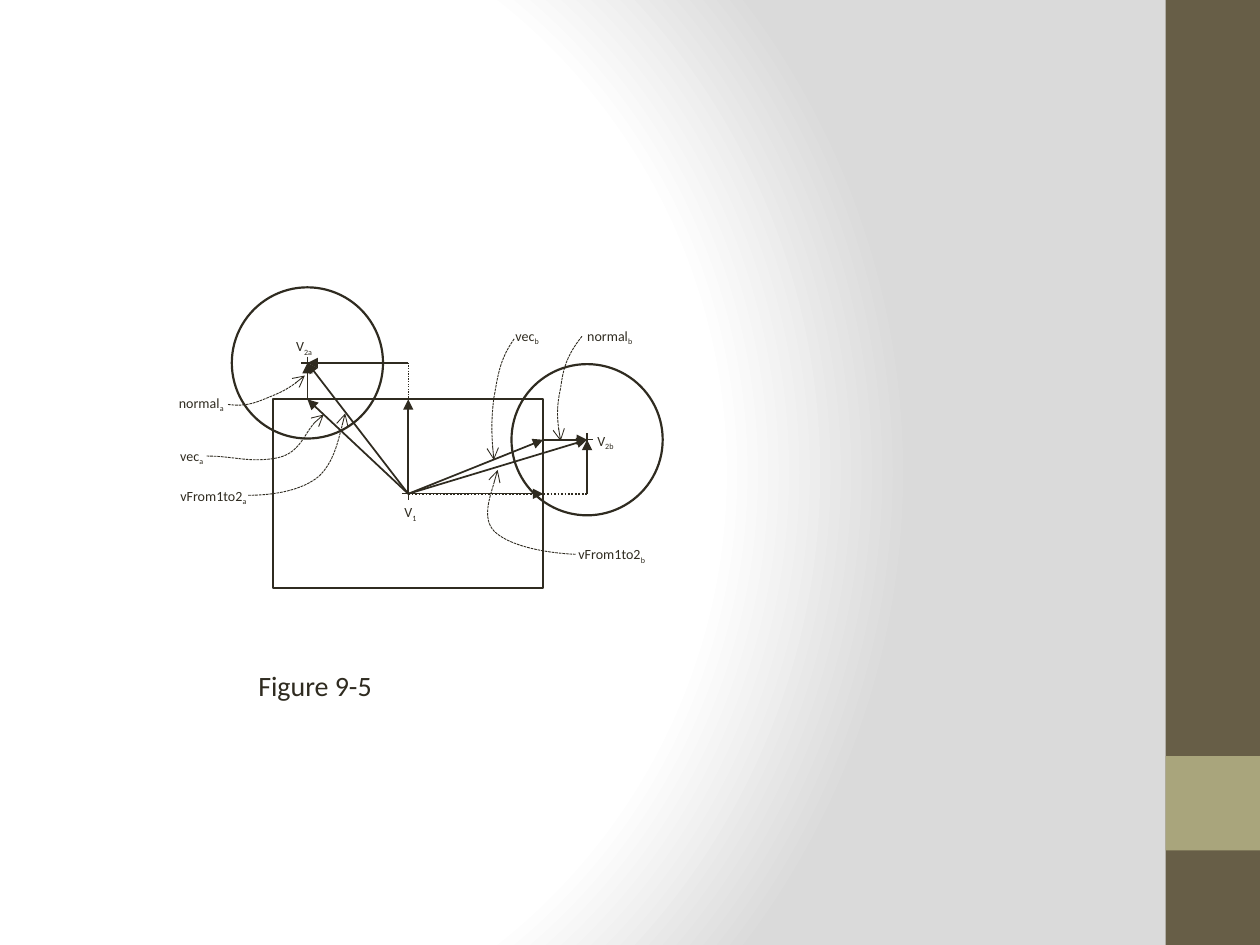
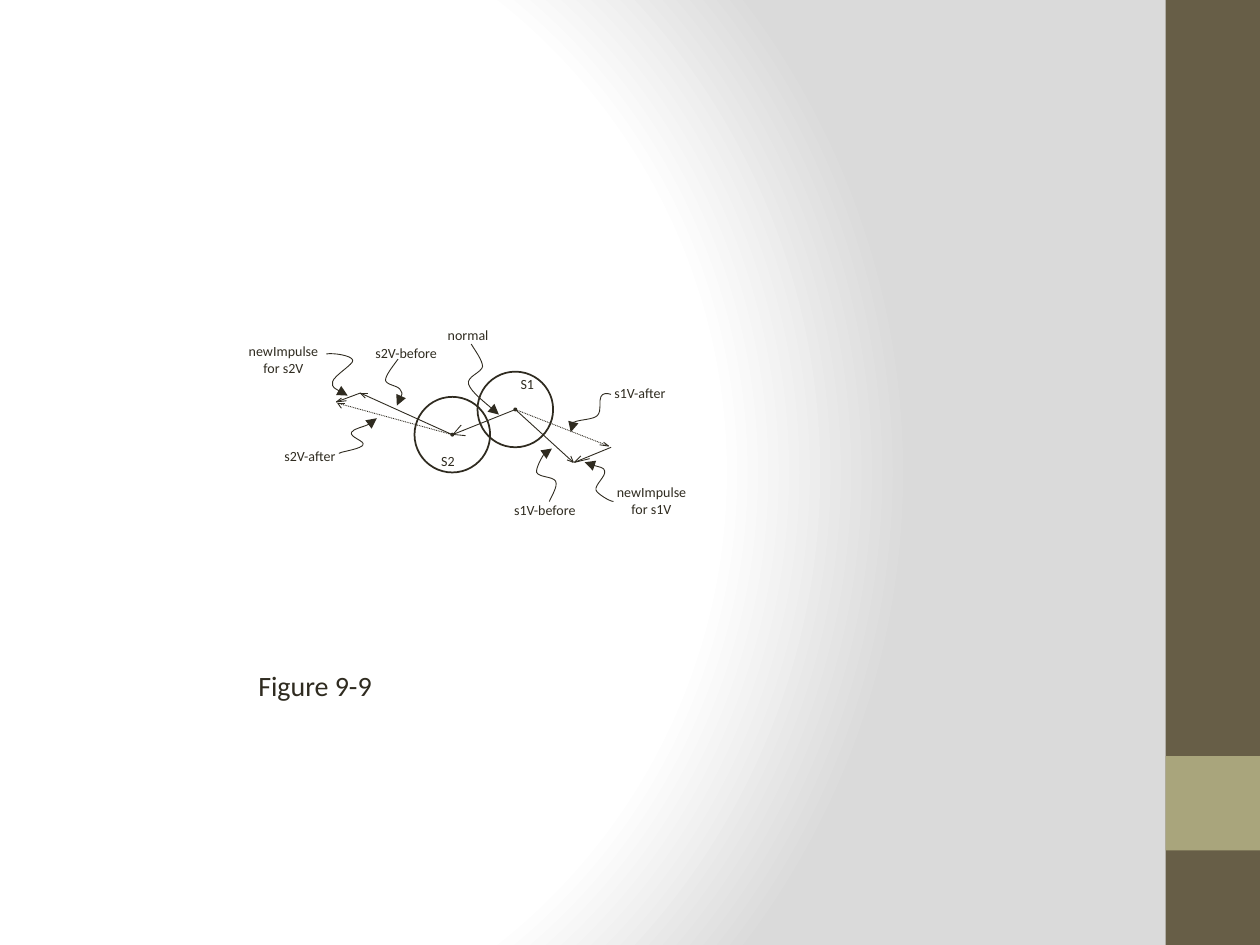
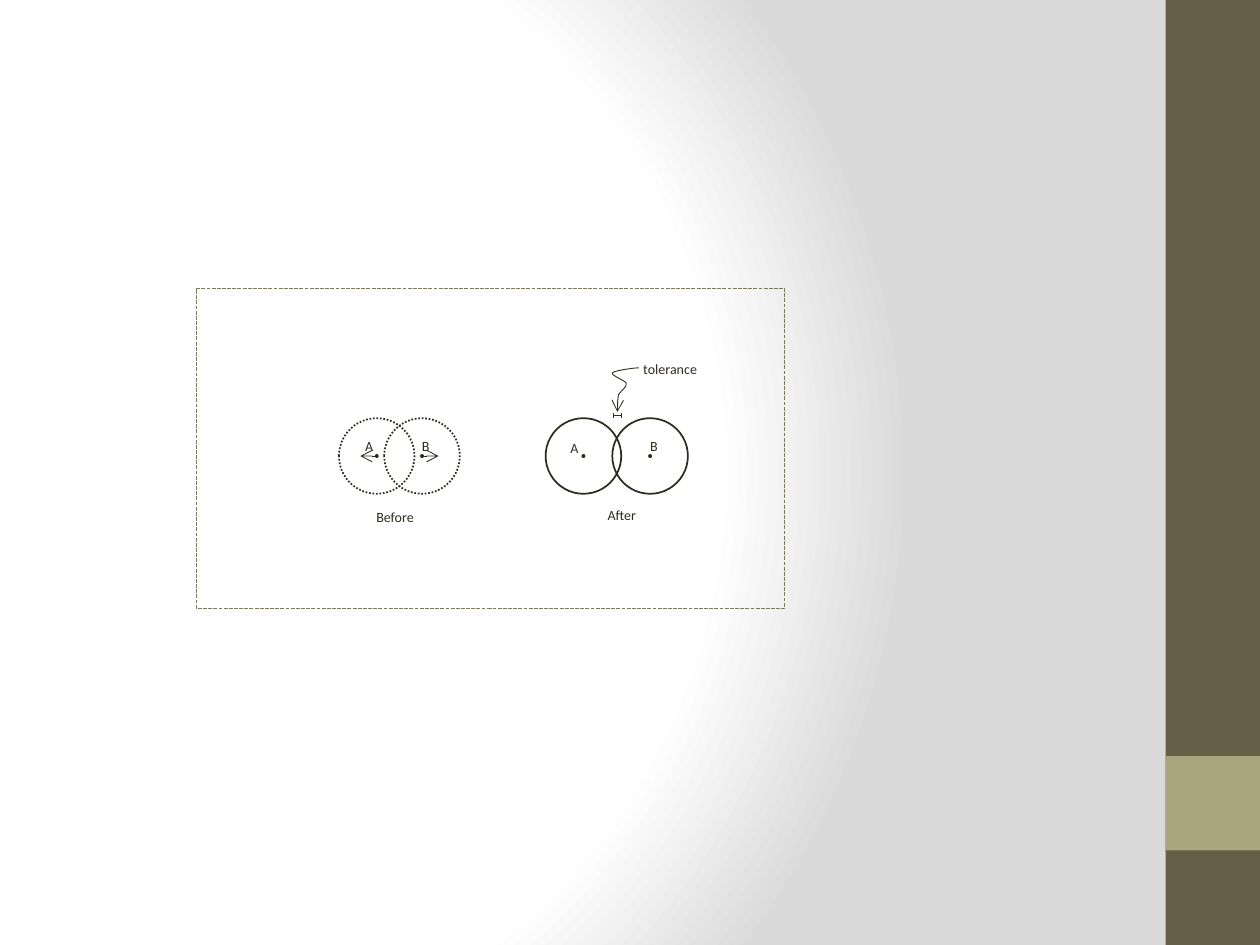
from dataclasses import dataclass

from lxml.etree import SubElement
from pptx import Presentation
from pptx.dml.color import RGBColor
from pptx.enum.dml import MSO_LINE
from pptx.enum.shapes import MSO_CONNECTOR, MSO_SHAPE
from pptx.enum.text import MSO_AUTO_SIZE, PP_ALIGN
from pptx.oxml.ns import qn
from pptx.util import Pt


@dataclass(frozen=True)
class Theme:
    font: str = "Calibri"
    ink: str = "2F2B20"
    band: str = "675E47"
    accent: str = "A9A57C"
    frame: str = "7D7A5C"
    backdrop: tuple = ((0, "FFFFFF"), (75, "FFFFFF"), (100, "DADADA"))
    label_size: float = 8
    caption_size: float = 16
    hairline: float = 0.5
    thin: float = 0.75
    medium: float = 1
    thick: float = 1.25


THEME = Theme()
DASHED = MSO_LINE.SQUARE_DOT
DOTTED = MSO_LINE.ROUND_DOT
TOP, RIGHT = 0, 3


# Shared look
def set_backdrop(master):
    fill = master.background.fill
    fill.gradient()
    gradient = next(master.element.iter(qn("a:gradFill")))
    for child in list(gradient):
        gradient.remove(child)
    stops = SubElement(gradient, qn("a:gsLst"))
    for percent, color in THEME.backdrop:
        stop = SubElement(stops, qn("a:gs"), pos=str(percent * 1000))
        SubElement(stop, qn("a:srgbClr"), val=color)
    circle = SubElement(gradient, qn("a:path"), {"path": "circle"})
    SubElement(circle, qn("a:fillToRect"), l="20000", t="50000", r="100000", b="50000")


def start_slide(deck):
    slide = deck.slides.add_slide(deck.slide_layouts[6])
    add_block(slide.shapes, (666, 0, 54, 540), fill=THEME.band)
    add_block(slide.shapes, (666, 432, 54, 54), fill=THEME.accent)
    return slide


# Outlines
def style_line(shape, width, dash=None, head=None, tail=None, color=THEME.ink):
    shape.line.color.rgb = RGBColor.from_string(color)
    shape.line.width = Pt(width)
    if dash is not None:
        shape.line.dash_style = dash
    outline = shape.element.spPr.find(qn("a:ln"))
    for tag, arrow in (("a:headEnd", head), ("a:tailEnd", tail)):
        if arrow:
            SubElement(outline, qn(tag), type=arrow)


def add_block(shapes, bounds, kind=MSO_SHAPE.RECTANGLE, fill=None, width=None, **line):
    block = shapes.add_shape(kind, *map(Pt, bounds))
    block.shadow.inherit = False
    if fill:
        block.fill.solid()
        block.fill.fore_color.rgb = RGBColor.from_string(fill)
    else:
        block.fill.background()
    if width:
        style_line(block, width, **line)
    else:
        block.line.fill.background()
    return block


def add_circle(shapes, center, radius, **style):
    x, y = center
    bounds = (x - radius, y - radius, 2 * radius, 2 * radius)
    return add_block(shapes, bounds, MSO_SHAPE.OVAL, **style)


def add_line(shapes, start, end, width, join=None, **line):
    connector = shapes.add_connector(MSO_CONNECTOR.STRAIGHT, *map(Pt, start + end))
    if join:
        connector.end_connect(*join)
    style_line(connector, width, **line)
    SubElement(connector.element.spPr, qn("a:effectLst"))
    return connector


def add_curve(shapes, start, *controls, **line):
    """Draw cubic curves: every three controls make one segment."""
    builder = shapes.build_freeform(Pt(start[0]), Pt(start[1]))
    builder.add_line_segments([(Pt(x), Pt(y)) for x, y in controls], close=False)
    curve = builder.convert_to_shape()
    outline = next(curve.element.iter(qn("a:path")))
    steps = outline.findall(qn("a:lnTo"))
    for first in range(0, len(steps), 3):
        segment = SubElement(outline, qn("a:cubicBezTo"))
        for step in steps[first:first + 3]:
            segment.append(step[0])
            outline.remove(step)
    curve.fill.background()
    curve.shadow.inherit = False
    style_line(curve, THEME.hairline, **line)


# Figure parts
def add_cross(slide, center, arm=3.6):
    x, y = center
    cross = slide.shapes.add_group_shape().shapes
    add_line(cross, (x - arm, y), (x + arm, y), THEME.thin)
    add_line(cross, (x, y - arm), (x, y + arm), THEME.thin)


def add_ball(slide, center, dash=None):
    ball = slide.shapes.add_group_shape().shapes
    add_circle(ball, center, 21.6, width=THEME.medium, dash=dash)
    add_circle(ball, center, 1.1, fill=THEME.ink)


def add_barbed_arrow(slide, start, tip, barbs, dash=None):
    arrow = slide.shapes.add_group_shape().shapes
    add_line(arrow, start, tip, THEME.hairline, dash=dash)
    for barb in barbs:
        add_line(arrow, tip, barb, THEME.hairline)


def add_label(slide, text, left, top, width, height=9.7, margin=0,
              size=THEME.label_size, align=PP_ALIGN.CENTER):
    """Write a label; what follows an underscore is a subscript."""
    box = slide.shapes.add_textbox(Pt(left), Pt(top), Pt(width), Pt(height))
    frame = box.text_frame
    frame.word_wrap = True
    frame.auto_size = MSO_AUTO_SIZE.SHAPE_TO_FIT_TEXT
    frame.margin_left = frame.margin_right = 0
    frame.margin_top = frame.margin_bottom = Pt(margin)
    para = frame.paragraphs[0]
    para.alignment = align
    base, _, subscript = text.partition("_")
    para.text = base
    if subscript:
        span = para.add_run()
        span.text = subscript
        span.font._element.set("baseline", "-25000")
    for span in para.runs:
        span.font.name = THEME.font
        span.font.size = Pt(size)
        span.font.color.rgb = RGBColor.from_string(THEME.ink)


def add_vector_label(slide, text, left, top, width):
    add_label(slide, text, left, top, width, 17.3, margin=3.6, align=PP_ALIGN.LEFT)


def add_caption(slide, text):
    add_label(slide, text, 147.6, 378.7, 167, 26.6, margin=3.6,
              size=THEME.caption_size, align=PP_ALIGN.LEFT)


# Circles touching a rectangle
def draw_rectangle_collision(deck):
    slide = start_slide(deck)
    shapes = slide.shapes
    left, top, width, height = bounds = (156.2, 228.2, 154.2, 108)
    rectangle = add_block(shapes, bounds, width=THEME.thick)
    v1 = (left + width / 2, top + height / 2)
    v2a, v2b = (175.7, 207.4), (335.5, 251.3)
    edge_a, edge_b = (v2a[0], top), (left + width, v2b[1])
    corner_a, corner_b = (v1[0], v2a[1]), (v2b[0], v1[1])

    for center in (v2a, v2b):
        add_circle(shapes, center, 43.2, width=THEME.thick)
    for center in (v1, v2a, v2b):
        add_cross(slide, center)

    for start, end in ((v1, v2a), (v1, edge_a), (edge_a, v2a), (corner_a, v2a),
                       (v1, v2b), (v1, edge_b), (edge_b, v2b), (corner_b, v2b)):
        add_line(shapes, start, end, THEME.medium, tail="triangle")
    add_line(shapes, v1, (left + width, v1[1]), THEME.thin,
             join=(rectangle, RIGHT), tail="triangle")
    add_line(shapes, v1, (v1[0], top), THEME.medium,
             join=(rectangle, TOP), tail="triangle")
    add_line(shapes, v1, corner_b, THEME.medium, dash=DOTTED)
    add_line(shapes, corner_a, (v1[0], top), THEME.thin,
             join=(rectangle, TOP), dash=DOTTED)

    pointers = (
        # vec, vFrom1to2 and normal of circle b
        ((293.8, 193.7), (285.1, 205.9), (284.4, 216), (282.2, 227.5),
         (280.8, 239), (280.8, 249.8), (282.2, 262.8)),
        ((329, 316.8), (312.5, 316.1), (293.8, 312.5), (284.4, 305.3),
         (274.3, 298.1), (283, 274.3), (284.4, 268.6)),
        ((332.6, 192.2), (323.3, 203.8), (321.8, 211.7), (320.4, 221.8),
         (318.2, 231.8), (318.2, 241.2), (320.4, 252)),
        # vec, normal and vFrom1to2 of circle a
        ((118.1, 260.6), (133.2, 260.6), (141.1, 264.2), (156.2, 262.1),
         (171.4, 259.9), (174.2, 244.1), (185, 236.9)),
        ((130.3, 231.1), (141.1, 232.6), (146.9, 229.7), (154.1, 226.8),
         (161.3, 223.9), (167.8, 220.3), (174.2, 214.6)),
        ((141.8, 283), (157, 283), (172.8, 280.1), (182.2, 272.2),
         (190.8, 264.2), (195.1, 244.8), (197.3, 236.2)),
    )
    for pointer in pointers:
        add_curve(shapes, *pointer, dash=DASHED, tail="arrow")

    for label in (("normal_b", 335.5, 183.6, 27.4), ("V_2b", 341.3, 243.4, 10.8),
                  ("V_1", 231.1, 284.4, 10.8), ("vFrom1to2_b", 330.5, 308.2, 39.6),
                  ("vec_b", 294.5, 183.6, 15.8), ("normal_a", 102.2, 221.8, 27.4),
                  ("vec_a", 103, 252, 14.4), ("vFrom1to2_a", 103, 275, 39.6),
                  ("V_2a", 169.2, 189.4, 10.8)):
        add_vector_label(slide, *label)
    add_caption(slide, "Figure 9-5")


# Impulses of two colliding circles
def draw_impulses(deck):
    slide = start_slide(deck)
    shapes = slide.shapes
    s1, s2 = (294.5, 234), (258.5, 248.4)
    add_ball(slide, s1)
    add_ball(slide, s2)
    add_line(shapes, s2, s1, THEME.hairline, head="arrow")

    velocities = (
        (s1, (327.6, 264.2), ((324, 262.8), (326.2, 260.6)), None),
        (s1, (347.8, 254.9), ((344.9, 252.7), (342.7, 254.2)), DOTTED),
        ((205.9, 224.6), (192.2, 229.7), ((195.1, 227.5), (198, 229)), None),
        (s2, (205.9, 224.6), ((208.8, 227.5), (210.2, 224.6)), None),
        (s2, (193, 230.4), ((195.1, 233.3), (197.3, 230.4)), DOTTED),
        ((349.2, 255.6), (328.3, 264.2), ((331.9, 260.6), (337, 262.1)), None),
    )
    for velocity in velocities:
        add_barbed_arrow(slide, *velocity)

    pointers_from_tip = (
        # s1V-after, s1V-before, s2V-after
        ((326.2, 247), (326.9, 246.2), (325.4, 241.9), (328.3, 241.2),
         (331.2, 239.8), (339.1, 239.8), (341.3, 237.6),
         (344.2, 234.7), (342, 229), (343.4, 226.8),
         (344.2, 224.6), (347, 224.6), (349.2, 225.4)),
        ((315.4, 256.3), (314.6, 257), (312.5, 257), (311, 259.2),
         (309.6, 261.4), (306, 267.8), (306.7, 270),
         (308.2, 272.9), (316.1, 272.2), (317.5, 275),
         (319, 277.9), (314.6, 284.4), (313.9, 286.6)),
        ((215.3, 239), (212.4, 243.4), (202.3, 244.8), (200.9, 247),
         (199.4, 249.8), (208.8, 252), (207.4, 254.2),
         (206.6, 256.3), (197.3, 257.8), (195.1, 258.5),
         (193, 259.2), (193.7, 259.2), (195.1, 258.5)),
    )
    pointers_to_tip = (
        # newImpulse for s1V, s2V-before, newImpulse for s2V, normal
        ((350.6, 286.6), (348.5, 286.6), (341.3, 282.2), (340.6, 280.1),
         (339.8, 277.2), (346.3, 272.2), (345.6, 269.3),
         (345.6, 267.1), (339.1, 266.4), (337, 265),
         (335.5, 264.2), (335.5, 264.2), (334.1, 264.2)),
        ((227.5, 205.2), (223.9, 210.2), (220.3, 214.6), (220.3, 217.4),
         (221, 220.3), (228.2, 220.3), (229, 223.2),
         (230.4, 225.4), (228, 229.5), (226.8, 231.8)),
        ((186.5, 202.3), (190.1, 201.6), (200.9, 203), (201.6, 205.9),
         (202.3, 208.1), (190.8, 214.6), (190.1, 218.2),
         (189.4, 221.8), (197.3, 225.4), (198.7, 226.1)),
        ((269.3, 196.6), (271.4, 200.2), (275.8, 205.9), (275.8, 209.5),
         (275, 213.1), (266.4, 215.3), (267.8, 219.6),
         (269.3, 223.9), (283, 235), (285.1, 236.9)),
    )
    for pointer in pointers_from_tip:
        add_curve(shapes, *pointer, head="triangle")
    for pointer in pointers_to_tip:
        add_curve(shapes, *pointer, tail="triangle")

    for label in (("s2V-before", 213.8, 196.6, 36.7), ("s1V-after", 350.6, 219.6, 30.2),
                  ("newImpulse for s1V", 351.4, 276.5, 41.8, 19.4),
                  ("s1V-before", 290.9, 286.6, 41), ("s2V-after", 162, 255.6, 30.2),
                  ("newImpulse for s2V", 141.1, 195.8, 41.8, 19.4),
                  ("normal", 254.9, 186.5, 25.2), ("S1", 288.7, 214.6, 25.2),
                  ("S2", 243.4, 258.5, 25.2)):
        add_label(slide, *label)
    add_caption(slide, "Figure 9-9")


# Separation before and after
def draw_separation(deck):
    slide = start_slide(deck)
    shapes = slide.shapes
    add_block(shapes, (112.3, 164.9, 336.2, 182.9), width=THEME.thin,
              dash=DASHED, color=THEME.frame)
    middle = 260.6
    for x, dash in ((333.4, None), (371.5, None), (215.3, DOTTED), (241.2, DOTTED)):
        add_ball(slide, (x, middle), dash)

    for label in (("After", 344.9, 289.4, 20.9), ("Before", 214.6, 290.9, 22.3),
                  ("tolerance", 365, 205.9, 36), ("A", 206.6, 249.8, 8.6),
                  ("B", 239, 249.8, 8.6), ("B", 369.4, 249.8, 8.6),
                  ("A", 324, 251.3, 8.6)):
        add_label(slide, *label)

    add_line(shapes, (241.9, middle), (250.6, middle), THEME.hairline, tail="arrow")
    add_line(shapes, (205.9, middle), (214.6, middle), THEME.hairline, head="arrow")

    # Tolerance gauge
    gauge = shapes.add_group_shape().shapes
    add_line(gauge, (350.6, 237.6), (355.3, 237.6), THEME.hairline)
    for x in (350.6, 355.3):
        add_line(gauge, (x, 236.2), (x, 239), THEME.hairline)
    add_curve(shapes, (365, 210.2), (362.2, 210.2), (351.4, 211.7), (349.9, 213.1),
              (349.2, 214.6), (357.1, 217.4), (357.8, 218.9),
              (358.6, 221), (355, 223.2), (353.5, 225.4),
              (352.8, 227.5), (352.8, 234), (352.8, 235.4), tail="arrow")


def main():
    deck = Presentation()
    deck.slide_width, deck.slide_height = Pt(720), Pt(540)
    set_backdrop(deck.slide_master)
    draw_rectangle_collision(deck)
    draw_impulses(deck)
    draw_separation(deck)
    deck.save("out.pptx")


if __name__ == "__main__":
    main()
